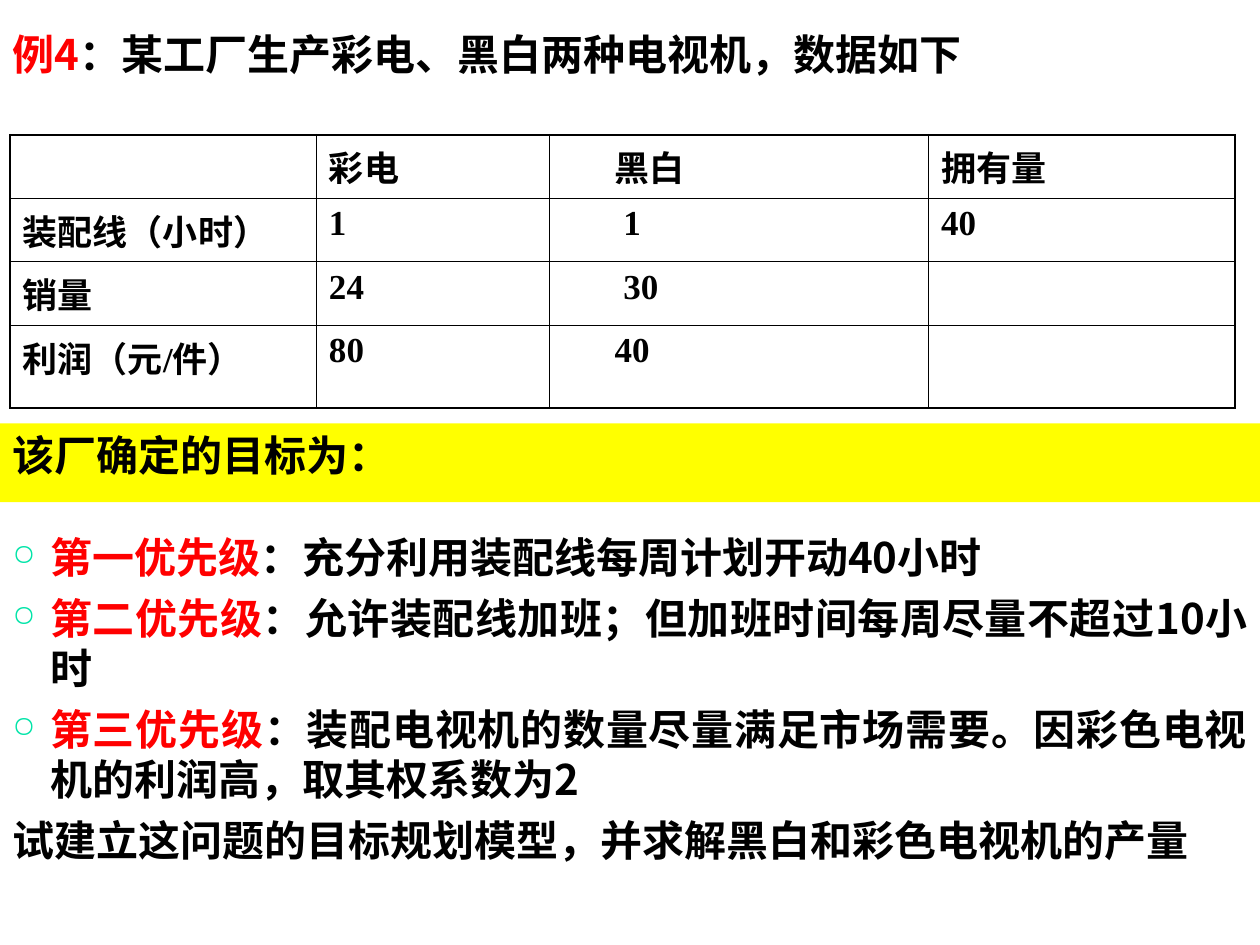
from typing import NamedTuple

from lxml.etree import SubElement as Sub
from pptx import Presentation
from pptx.dml.color import RGBColor
from pptx.enum.shapes import MSO_SHAPE as Shape
from pptx.enum.text import MSO_ANCHOR as Anchor, PP_ALIGN as Align
from pptx.oxml.ns import qn
from pptx.util import Pt

SANS, SERIF = "Noto Sans CJK SC", "Times New Roman"
BLACK, RED, YELLOW, MINT = "000000", "FF0000", "FFFF00", "00E4A8"
THIN, THICK = 0.45, 1.08


class Box(NamedTuple):
    left: float
    top: float
    width: float
    height: float


class Line(NamedTuple):
    head: str
    text: str
    bullet: bool = False


TITLE = Line("例4", "：某工厂生产彩电、黑白两种电视机，数据如下")
GOALS = [
    Line("第一优先级", "：充分利用装配线每周计划开动40小时", True),
    Line("第二优先级", "：允许装配线加班；但加班时间每周尽量不超过10小时", True),
    Line("第三优先级", "：装配电视机的数量尽量满足市场需要。"
         "因彩色电视机的利润高，取其权系数为2", True),
    Line("", "试建立这问题的目标规划模型，并求解黑白和彩色电视机的产量"),
]
ROWS = [
    ["", "彩电", "黑白", "拥有量"],
    ["装配线（小时）", "1", "1", "40"],
    ["销量", "24", "30", ""],
    ["利润（元/件）", "80", "40", ""],
]
WIDTHS = [175, 133.2, 216.7, 175]
HEIGHTS = [31, 31, 31, 47.5]
INDENTS = [30, 35, 35, 30]  # third column, row by row


def color(code: str) -> RGBColor:
    return RGBColor.from_string(code)


def style(para, face: str, size: float) -> None:
    font = para.font
    font.name, font.size, font.bold = face, Pt(size), True
    font.color.rgb = color(BLACK)


def indent(para, left: float, first: float = 0) -> None:
    props = para._p.get_or_add_pPr()
    props.set("marL", str(Pt(left)))
    props.set("indent", str(Pt(first)))


def bullet(para) -> None:
    props = para._p.get_or_add_pPr()
    Sub(Sub(props, qn("a:buClr")), qn("a:srgbClr"), val=MINT)
    Sub(props, qn("a:buSzPct"), val="70000")
    Sub(props, qn("a:buChar"), char="○")


def write(para, line: Line) -> None:
    """Fill a paragraph with a red head and black text."""
    style(para, SANS, 24)
    if line.head:
        run = para.add_run()
        run.text = line.head
        run.font.color.rgb = color(RED)
    para.add_run().text = line.text


def add_text(slide, box: Box):
    frame = slide.shapes.add_textbox(*map(Pt, box)).text_frame
    frame.word_wrap = True
    return frame


def border(cell, sides: dict[str, float]) -> None:
    props = cell._tc.get_or_add_tcPr()
    for index, (side, width) in enumerate(sides.items()):
        edge = props.makeelement(qn(f"a:ln{side}"), w=str(Pt(width)))
        Sub(Sub(edge, qn("a:solidFill")), qn("a:srgbClr"), val=BLACK)
        props.insert(index, edge)


def add_grid(slide, box: Box) -> None:
    count, span = len(ROWS), len(WIDTHS)
    grid = slide.shapes.add_table(count, span, *map(Pt, box)).table
    for col, width in zip(grid.columns, WIDTHS):
        col.width = Pt(width)
    for row, height in zip(grid.rows, HEIGHTS):
        row.height = Pt(height)
    for r, row in enumerate(ROWS):
        for c, text in enumerate(row):
            cell = grid.cell(r, c)
            cell.fill.background()
            para = cell.text_frame.paragraphs[0]
            if c == 2:
                indent(para, INDENTS[r])
            style(para, SERIF, 20)
            para.text = text
            border(cell, {
                "L": THIN if c else THICK,
                "R": THICK if c == span - 1 else THIN,
                "T": THIN if r else THICK,
                "B": THICK if r == count - 1 else THIN,
            })


def add_band(slide, box: Box, text: str) -> None:
    band = slide.shapes.add_shape(Shape.RECTANGLE, *map(Pt, box))
    band.shadow.inherit = False
    band.fill.solid()
    band.fill.fore_color.rgb = color(YELLOW)
    band.line.fill.background()
    band.text_frame.vertical_anchor = Anchor.TOP
    para = band.text_frame.paragraphs[0]
    para.alignment = Align.LEFT
    write(para, Line("", text))


def add_goals(slide, box: Box) -> None:
    frame = add_text(slide, box)
    for i, line in enumerate(GOALS):
        para = frame.add_paragraph() if i else frame.paragraphs[0]
        if i:
            para.space_before = Pt(6)
        indent(para, 21.6, -21.6)
        if line.bullet:
            para.alignment = Align.JUSTIFY
            bullet(para)
        write(para, line)


def main() -> None:
    deck = Presentation()
    deck.slide_width, deck.slide_height = Pt(720), Pt(540)
    slide = deck.slides.add_slide(deck.slide_layouts[6])
    add_grid(slide, Box(5.8, 77, 700, 140.5))
    write(add_text(slide, Box(0, 13, 594, 36)).paragraphs[0], TITLE)
    add_band(slide, Box(0, 242, 720, 45), "该厂确定的目标为：")
    add_goals(slide, Box(0, 300, 720, 231))
    deck.save("out.pptx")


if __name__ == "__main__":
    main()
